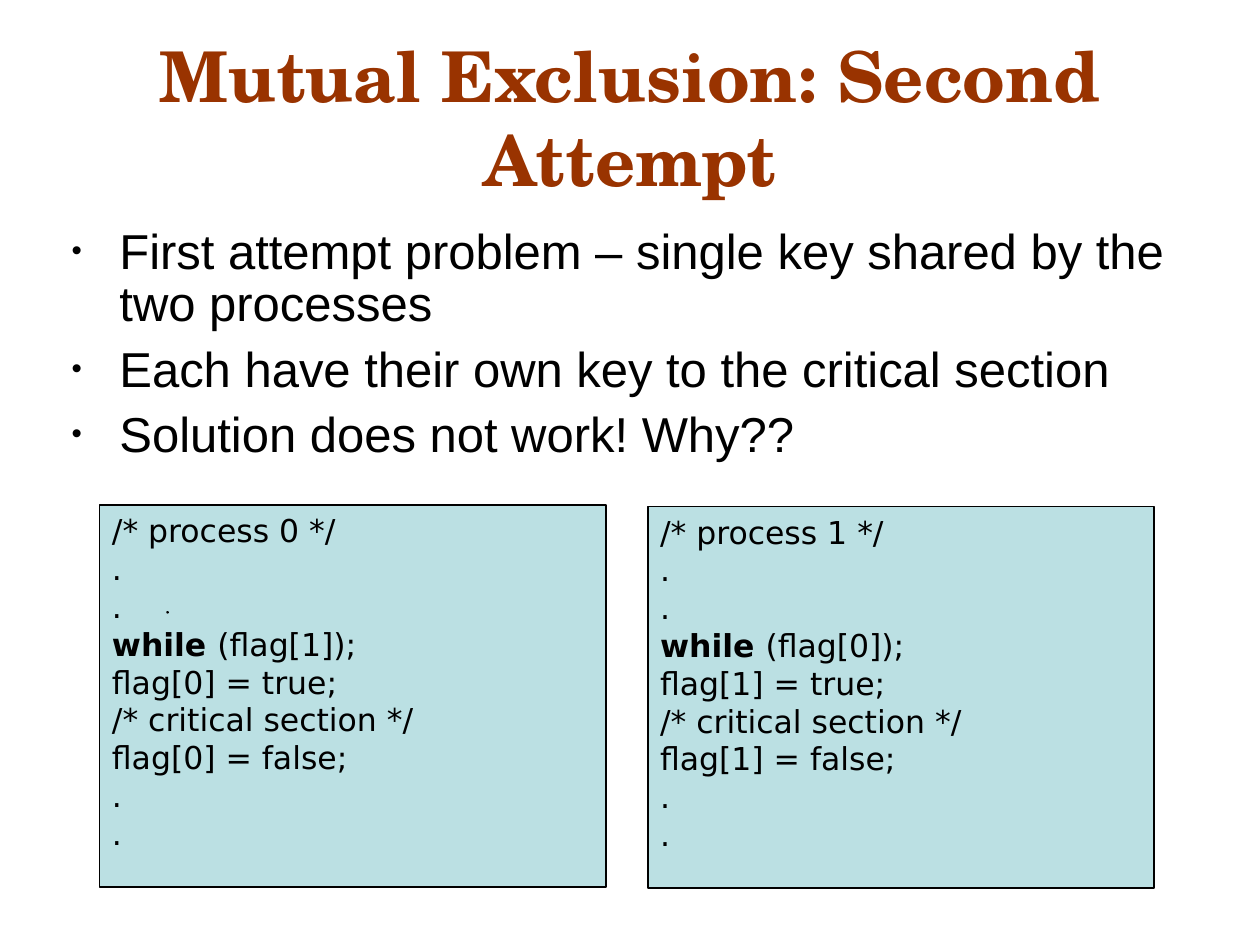
from dataclasses import dataclass

from lxml.etree import SubElement
from pptx import Presentation
from pptx.dml.color import RGBColor
from pptx.enum.shapes import MSO_SHAPE
from pptx.enum.text import MSO_ANCHOR, PP_ALIGN
from pptx.oxml.ns import qn
from pptx.util import Inches, Pt


@dataclass(frozen=True)
class Theme:
    title_color: RGBColor = RGBColor(0x99, 0x33, 0x00)
    ink: RGBColor = RGBColor(0x00, 0x00, 0x00)
    panel: RGBColor = RGBColor(0xBB, 0xE0, 0xE3)
    title_font: str = "TeX Gyre Schola"
    body_font: str = "Arial"
    code_font: str = "DejaVu Sans"
    title_size: Pt = Pt(40)
    body_size: Pt = Pt(28)
    code_size: Pt = Pt(18)


theme = Theme()


def format_runs(paragraph, name, size, color):
    for run in paragraph.runs:
        run.font.name = name
        run.font.size = size
        run.font.color.rgb = color


def add_bullet(paragraph):
    properties = paragraph._p.get_or_add_pPr()
    properties.set("marL", str(Inches(0.38)))
    properties.set("indent", str(-Inches(0.38)))
    bullet_color = SubElement(properties, qn("a:buClr"))
    SubElement(bullet_color, qn("a:srgbClr"), val=str(theme.ink))
    SubElement(properties, qn("a:buSzPct"), val="60000")
    SubElement(properties, qn("a:buFont"), typeface=theme.body_font)
    SubElement(properties, qn("a:buChar"), char="•")


presentation = Presentation()
presentation.slide_width = Inches(10)
presentation.slide_height = Inches(7.5)
slide = presentation.slides.add_slide(presentation.slide_layouts[6])

# Title
title = slide.shapes.add_textbox(Inches(0.5), Inches(0.3), Inches(9), Inches(1.25))
title_frame = title.text_frame
title_frame.word_wrap = True
title_frame.vertical_anchor = MSO_ANCHOR.MIDDLE
title_frame.text = "Mutual Exclusion: Second Attempt"
title_paragraph = title_frame.paragraphs[0]
title_paragraph.alignment = PP_ALIGN.CENTER
format_runs(title_paragraph, theme.title_font, theme.title_size, theme.title_color)
title_paragraph.runs[0].font.bold = True

# Bullet list
points = [
    "First attempt problem – single key shared by the two processes",
    "Each have their own key to the critical section",
    "Solution does not work! Why??",
]
body = slide.shapes.add_textbox(Inches(0.47), Inches(1.75), Inches(9), Inches(2.11))
body_frame = body.text_frame
body_frame.word_wrap = True
body_frame.text = "\n".join(points)
for index, paragraph in enumerate(body_frame.paragraphs):
    add_bullet(paragraph)
    paragraph.line_spacing = 0.9
    paragraph.space_before = Pt(7 if index else 0)
    format_runs(paragraph, theme.body_font, theme.body_size, theme.ink)

# One code panel per process
for process, (left, top) in enumerate([(0.79, 4.01), (5.14, 4.02)]):
    other = 1 - process
    code_lines = [
        f"/* process {process} */",
        ".",
        ".",
        f"while (flag[{other}]);",
        f"flag[{process}] = true;",
        "/* critical section */",
        f"flag[{process}] = false;",
        ".",
        ".",
    ]
    panel = slide.shapes.add_shape(
        MSO_SHAPE.RECTANGLE, Inches(left), Inches(top), Inches(4.02), Inches(3.03)
    )
    panel.shadow.inherit = False
    panel.fill.solid()
    panel.fill.fore_color.rgb = theme.panel
    panel.line.color.rgb = theme.ink
    panel.line.width = Pt(1)
    code_frame = panel.text_frame
    code_frame.word_wrap = False
    code_frame.vertical_anchor = MSO_ANCHOR.TOP
    code_frame.text = "\n".join(code_lines)
    for paragraph in code_frame.paragraphs:
        paragraph.alignment = PP_ALIGN.LEFT
        keyword, space, rest = paragraph.text.partition("while ")
        if space:
            paragraph.text = space
            paragraph.runs[0].font.bold = True
            paragraph.add_run().text = rest
        format_runs(paragraph, theme.code_font, theme.code_size, theme.ink)

# Small ink dot inside the first panel
dot = slide.shapes.add_shape(
    MSO_SHAPE.OVAL, Inches(1.32), Inches(4.85), Inches(0.02), Inches(0.02)
)
dot.shadow.inherit = False
dot.fill.solid()
dot.fill.fore_color.rgb = theme.ink
dot.line.fill.background()

presentation.save("out.pptx")
